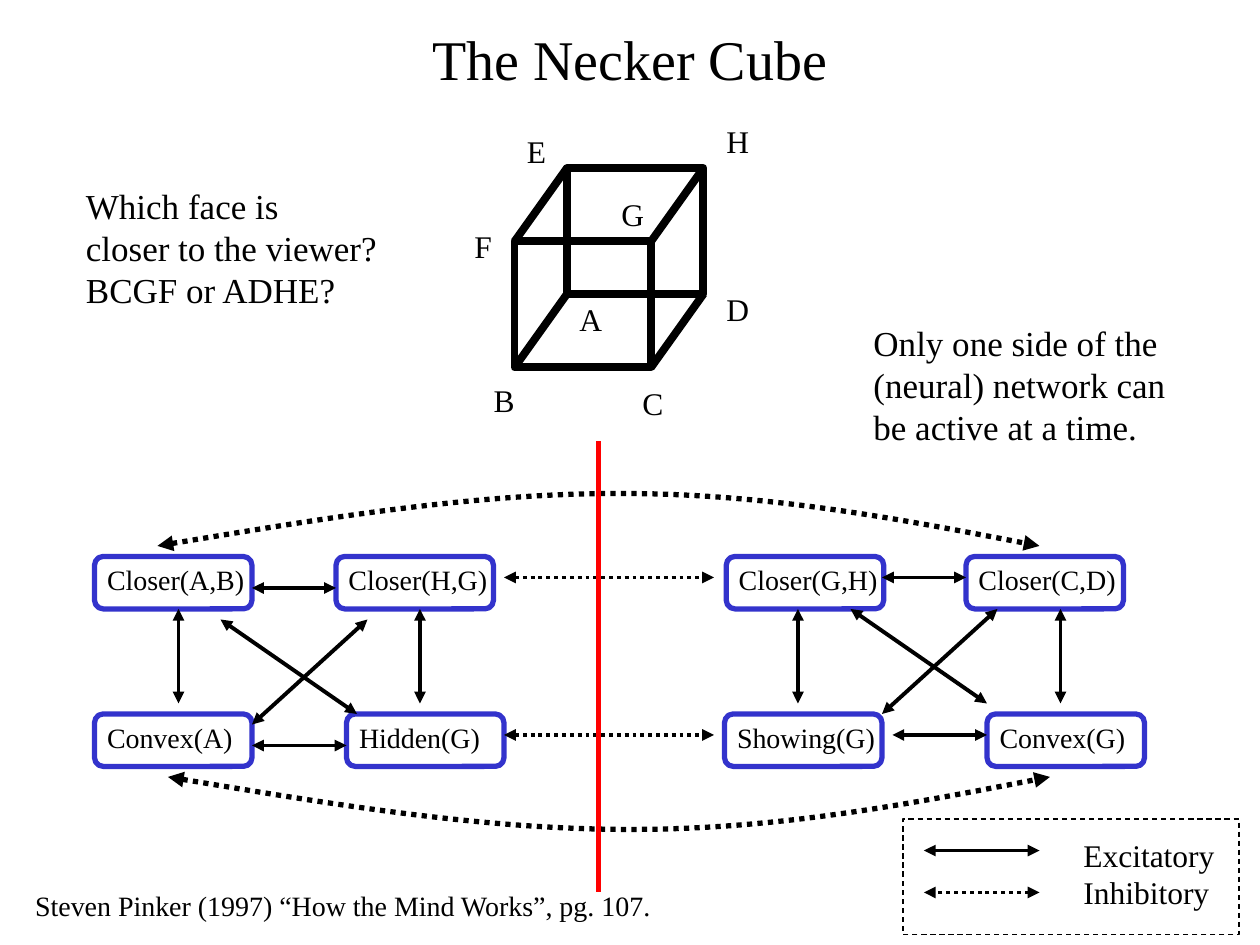
from typing import NamedTuple

from lxml.etree import SubElement
from pptx import Presentation
from pptx.dml.color import RGBColor
from pptx.enum.dml import MSO_LINE as Dash
from pptx.enum.shapes import MSO_CONNECTOR, MSO_SHAPE
from pptx.enum.text import MSO_ANCHOR as Anchor, MSO_AUTO_SIZE as AutoSize, PP_ALIGN as Align
from pptx.oxml.ns import qn
from pptx.util import Pt

BLACK = RGBColor(0, 0, 0)
BLUE = RGBColor(0x33, 0x33, 0xCC)
RED = RGBColor(0xFF, 0, 0)
FONT = "Times New Roman"
DOTTED = Dash.ROUND_DOT
NODE_W, NODE_H = 90, 30


class Label(NamedTuple):
    text: str
    x: float
    y: float
    w: float = 30
    h: float = 29
    size: float = 18


class Node(NamedTuple):
    text: str
    x: float
    y: float


class Link(NamedTuple):
    x1: float
    y1: float
    x2: float
    y2: float


LABELS = [
    Label("E", 294, 72), Label("H", 408, 66), Label("F", 264, 126), Label("G", 348, 108),
    Label("A", 324, 168), Label("D", 408, 162), Label("B", 275, 214), Label("C", 360, 216),
    Label("Which face is\ncloser to the viewer?\nBCGF or ADHE?", 42, 102, 190, 79, 20),
    Label("Only one side of the\n(neural) network can\nbe active at a time.", 492, 180, 190, 79, 20),
    Label("Steven Pinker (1997) “How the Mind Works”, pg. 107.", 13, 504, 380, 27, 16),
    Label("Excitatory\nInhibitory", 612, 474, 96, 50),
]
NODES = [
    Node("Closer(A,B)", 54, 318), Node("Closer(H,G)", 192, 318),
    Node("Closer(G,H)", 415, 318), Node("Closer(C,D)", 552, 318),
    Node("Convex(A)", 54, 408), Node("Hidden(G)", 198, 408),
    Node("Showing(G)", 414, 408), Node("Convex(G)", 564, 408),
]
EXCITATORY = [
    *(Link(x, 402, x, 348) for x in (102, 240, 456, 606)),
    Link(144, 336, 192, 336), Link(198, 426, 144, 426),
    Link(144, 414, 210, 354), Link(204, 408, 126, 354),
    Link(504, 330, 552, 330), Link(564, 420, 510, 420),
    Link(504, 408, 570, 348), Link(564, 402, 486, 348),
    Link(594, 486, 528, 486),
]
INHIBITORY = [Link(288, 330, 408, 330), Link(288, 420, 408, 420), Link(594, 510, 528, 510)]


def style_line(sp, width: float, color=BLACK, dash=None, arrows: bool = False) -> None:
    sp.line.color.rgb = color
    sp.line.width = Pt(width)
    if dash:
        sp.line.dash_style = dash
    if arrows:
        ln = sp.line._get_or_add_ln()
        for end in ("a:headEnd", "a:tailEnd"):
            SubElement(ln, qn(end), type="triangle")


def style_text(tf, size: float, align=Align.LEFT) -> None:
    for p in tf.paragraphs:
        p.alignment = align
        for r in p.runs:
            r.font.size = Pt(size)
            r.font.name = FONT
            r.font.color.rgb = BLACK


def add_label(label: Label) -> None:
    tf = s.shapes.add_textbox(Pt(label.x), Pt(label.y), Pt(label.w), Pt(label.h)).text_frame
    tf.text = label.text
    tf.word_wrap = True
    tf.auto_size = AutoSize.SHAPE_TO_FIT_TEXT
    style_text(tf, label.size)


def add_outline(kind, x: float, y: float, w: float, h: float, width: float, color=BLACK, dash=None):
    sp = s.shapes.add_shape(kind, Pt(x), Pt(y), Pt(w), Pt(h))
    sp.shadow.inherit = False
    sp.fill.background()
    style_line(sp, width, color, dash)
    return sp


def add_node(node: Node) -> None:
    sp = add_outline(MSO_SHAPE.ROUNDED_RECTANGLE, node.x, node.y, NODE_W, NODE_H, 3, BLUE)
    tf = sp.text_frame
    tf.text = node.text
    tf.vertical_anchor = Anchor.TOP
    tf.margin_left, tf.margin_top = Pt(5.7), Pt(2.1)
    tf.margin_right = tf.margin_bottom = 0
    style_text(tf, 16)


def add_link(link: Link, width: float = 2.25, color=BLACK, dash=None, arrows: bool = True) -> None:
    c = s.shapes.add_connector(MSO_CONNECTOR.STRAIGHT, *(Pt(v) for v in link))
    style_line(c, width, color, dash, arrows)
    SubElement(c._element.spPr, qn("a:effectLst"))


def add_arc(x: float, y: float, rise: float) -> None:
    """Two-part curve from (x, y), bulging vertically by rise."""
    builder = s.shapes.build_freeform(Pt(x), Pt(y))
    builder.add_line_segments([(Pt(x + 264), Pt(y + rise)), (Pt(x + 504), Pt(y))], close=False)
    sp = builder.convert_to_shape()
    sp.shadow.inherit = False
    sp.fill.background()
    style_line(sp, 3, dash=DOTTED, arrows=True)
    # Turn each straight segment into a Bezier segment
    top = min(y, y + rise)
    controls = [[(90, y + rise / 2), (180, y + rise)], [(348, y + rise), (426, y + rise / 2)]]
    segments = list(sp._element.iter(qn("a:lnTo")))
    for segment, points in zip(segments, controls):
        segment.tag = qn("a:cubicBezTo")
        for i, (dx, cy) in enumerate(points):
            pt = SubElement(segment, qn("a:pt"), x=str(Pt(dx)), y=str(Pt(cy - top)))
            segment.insert(i, pt)


prs = Presentation()
prs.slide_width, prs.slide_height = Pt(720), Pt(540)
s = prs.slides.add_slide(prs.slide_layouts[5])

# Title
title = s.shapes.title
title.left, title.top, title.width, title.height = Pt(54), Pt(18), Pt(612), Pt(30)
title.text_frame.text = "The Necker Cube"
title.text_frame.vertical_anchor = Anchor.MIDDLE
style_text(title.text_frame, 32, Align.CENTER)

# Cube: front and back faces joined at the corners
FRONT_X, FRONT_Y, CUBE_W, CUBE_H = 294, 138, 78, 72
BACK_X, BACK_Y = FRONT_X + 30, FRONT_Y - 42
for x, y in ((FRONT_X, FRONT_Y), (BACK_X, BACK_Y)):
    add_outline(MSO_SHAPE.RECTANGLE, x, y, CUBE_W, CUBE_H, 4.5)
for dx in (0, CUBE_W):
    for dy in (0, CUBE_H):
        edge = Link(FRONT_X + dx, FRONT_Y + dy, BACK_X + dx, BACK_Y + dy)
        add_link(edge, 4.5, arrows=False)

# Network
for node in NODES:
    add_node(node)
for link in EXCITATORY:
    add_link(link)
for link in INHIBITORY:
    add_link(link, dash=DOTTED)
add_arc(90, 312, -30)
add_arc(96, 444, 30)

# Divider, legend frame and text
add_link(Link(342, 252, 342, 510), 3, RED, arrows=False)
add_outline(MSO_SHAPE.RECTANGLE, 516, 468, 192, 66, 0.75, dash=Dash.DASH)
for label in LABELS:
    add_label(label)

prs.save("out.pptx")
